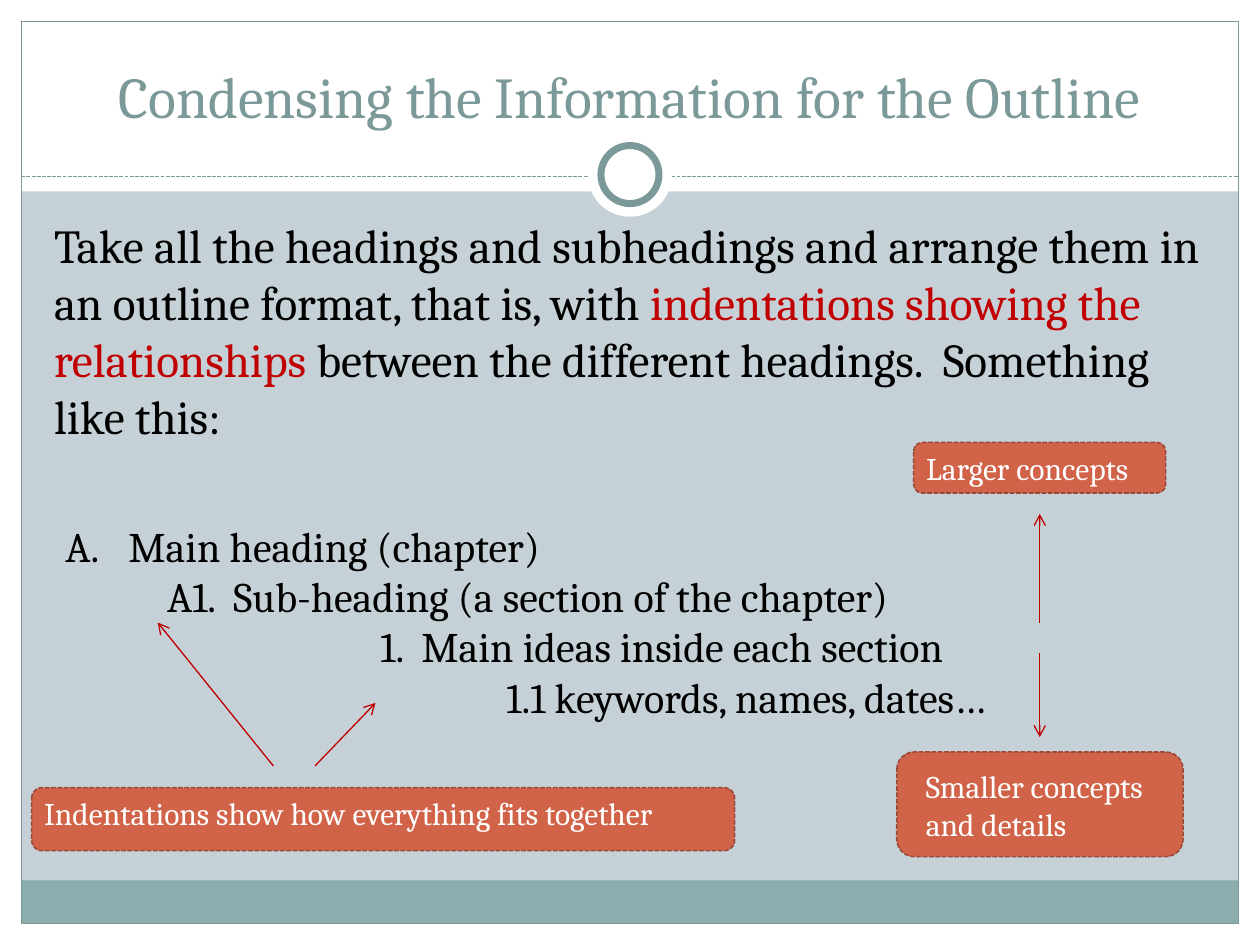
"""Builds the slide on condensing information for an outline."""
from lxml import etree
from pptx import Presentation
from pptx.dml.color import RGBColor
from pptx.enum import dml, shapes, text
from pptx.oxml.ns import qn
from pptx.util import Cm, Pt

WIDTH, HEIGHT, EDGE = 25.4, 19.05, 0.43
FONT = "Cambria"
WHITE, BLACK, RED = "FFFFFF", "000000", "C00000"
SAGE, TEAL, MIST = "7C999A", "8CADAE", "C5D1D7"
RUST, BROWN = "D16349", "9B4936"

BANDS = [
    (0, HEIGHT - EDGE, WIDTH, EDGE, WHITE),
    (0, 0, WIDTH, 3.86, WHITE),
    (0, 0, EDGE, HEIGHT, WHITE),
    (WIDTH - EDGE, 0, EDGE, HEIGHT, WHITE),
    (EDGE, 17.75, WIDTH - 2 * EDGE, 0.87, TEAL),
]
RULE_Y, RING_Y = 3.56, 3.52
RINGS = [(1.7, None, 0), (1.17, SAGE, 4)]

TITLE = [("Condensing the Information for the Outline", SAGE)]
BODY = [
    ("Take all the headings and subheadings and arrange them in an outline "
     "format, that is, with ", BLACK),
    ("indentations showing the relationships ", RED),
    ("between the different headings.  Something like this:", BLACK),
]
OUTLINE = [
    (1.27, "Main heading (chapter)"),
    (2.05, "A1.  Sub-heading (a section of the chapter)"),
    (6.35, "1.  Main ideas inside each section"),
    (8.89, "1.1 keywords, names, dates…"),
]
LABELS = [
    ((0.64, 15.88, 14.17, 1.27), (0.19, 0.07),
     ["Indentations show how everything fits together"]),
    ((18.08, 15.16, 5.77, 2.11), (0.48, 0.2), ["Smaller concepts", "and details"]),
    ((18.42, 8.92, 5.08, 1.02), (0.2, 0.08), ["Larger concepts"]),
]
ARROWS = [
    (6.35, 15.44, 7.57, 14.17),
    (5.51, 15.44, 3.18, 12.55),
    (20.96, 12.55, 20.96, 10.36),
    (20.96, 13.16, 20.96, 14.86),
]


def color(value):
    return RGBColor.from_string(value)


def add_block(kind, box, fill=None, line=None, weight=0.75):
    block = page.shapes.add_shape(kind, *map(Cm, box))
    block.shadow.inherit = False
    if fill:
        block.fill.solid()
        block.fill.fore_color.rgb = color(fill)
    else:
        block.fill.background()
    if line:
        block.line.color.rgb = color(line)
        block.line.width = Pt(weight)
    else:
        block.line.fill.background()
    return block


def add_line(ends, line):
    connector = page.shapes.add_connector(
        shapes.MSO_CONNECTOR.STRAIGHT, *map(Cm, ends))
    connector.line.color.rgb = color(line)
    connector.line.width = Pt(0.75)
    etree.SubElement(connector._element.spPr, qn("a:effectLst"))
    return connector


def add_frame(box):
    frame = page.shapes.add_textbox(*map(Cm, box)).text_frame
    frame.word_wrap = True
    return frame


def write(para, spans, size, align=text.PP_ALIGN.LEFT):
    para.alignment = align
    for words, shade in spans:
        span = para.add_run()
        span.text = words
        span.font.name, span.font.size = FONT, Pt(size)
        span.font.color.rgb = color(shade)


def add_paras(frame, count):
    return [frame.paragraphs[0]] + [frame.add_paragraph() for _ in range(count - 1)]


deck = Presentation()
deck.slide_width, deck.slide_height = Cm(WIDTH), Cm(HEIGHT)
page = deck.slides.add_slide(deck.slide_layouts[6])
page.background.fill.solid()
page.background.fill.fore_color.rgb = color(MIST)

kinds = shapes.MSO_SHAPE
for *box, fill in BANDS:
    add_block(kinds.RECTANGLE, box, fill)
add_block(kinds.RECTANGLE,
          (EDGE, EDGE, WIDTH - 2 * EDGE, HEIGHT - 2 * EDGE), line=SAGE)
rule = add_line((EDGE, RULE_Y, WIDTH - EDGE, RULE_Y), SAGE)
rule.line.dash_style = dml.MSO_LINE.SQUARE_DOT
for size, line, weight in RINGS:
    add_block(kinds.OVAL, (WIDTH / 2 - size / 2, RING_Y - size / 2, size, size),
              WHITE, line, weight)

title = add_frame((0.84, 0.64, 23.7, 2.11))
title.vertical_anchor = text.MSO_ANCHOR.BOTTOM
write(title.paragraphs[0], TITLE, 33, text.PP_ALIGN.CENTER)
write(add_frame((0.84, 4.24, 23.62, 5.28)).paragraphs[0], BODY, 27)

outline = add_paras(add_frame((1.07, 10.36, 19.69, 4.37)), len(OUTLINE))
for para, (indent, words) in zip(outline, OUTLINE):
    write(para, [(words, BLACK)], 24)
    para._p.get_or_add_pPr().set("marL", str(Cm(indent)))
heading = outline[0]._p.get_or_add_pPr()
heading.set("indent", str(-Cm(OUTLINE[0][0])))
etree.SubElement(heading, qn("a:buFont"), typeface="+mj-lt")
etree.SubElement(heading, qn("a:buAutoNum"), type="alphaUcPeriod")

for box, (left, top), lines in LABELS:
    label = add_block(kinds.ROUNDED_RECTANGLE, box, RUST, BROWN, 0.9)
    label.line.dash_style = dml.MSO_LINE.SQUARE_DOT
    frame = label.text_frame
    frame.word_wrap = True
    frame.vertical_anchor = text.MSO_ANCHOR.TOP
    frame.margin_left, frame.margin_top = Cm(left), Cm(top)
    frame.margin_right = frame.margin_bottom = 0
    for para, words in zip(add_paras(frame, len(lines)), lines):
        write(para, [(words, WHITE)], 18)

for ends in ARROWS:
    arrow = add_line(ends, RED)
    etree.SubElement(arrow.line._get_or_add_ln(), qn("a:tailEnd"), type="arrow")

deck.save("out.pptx")
